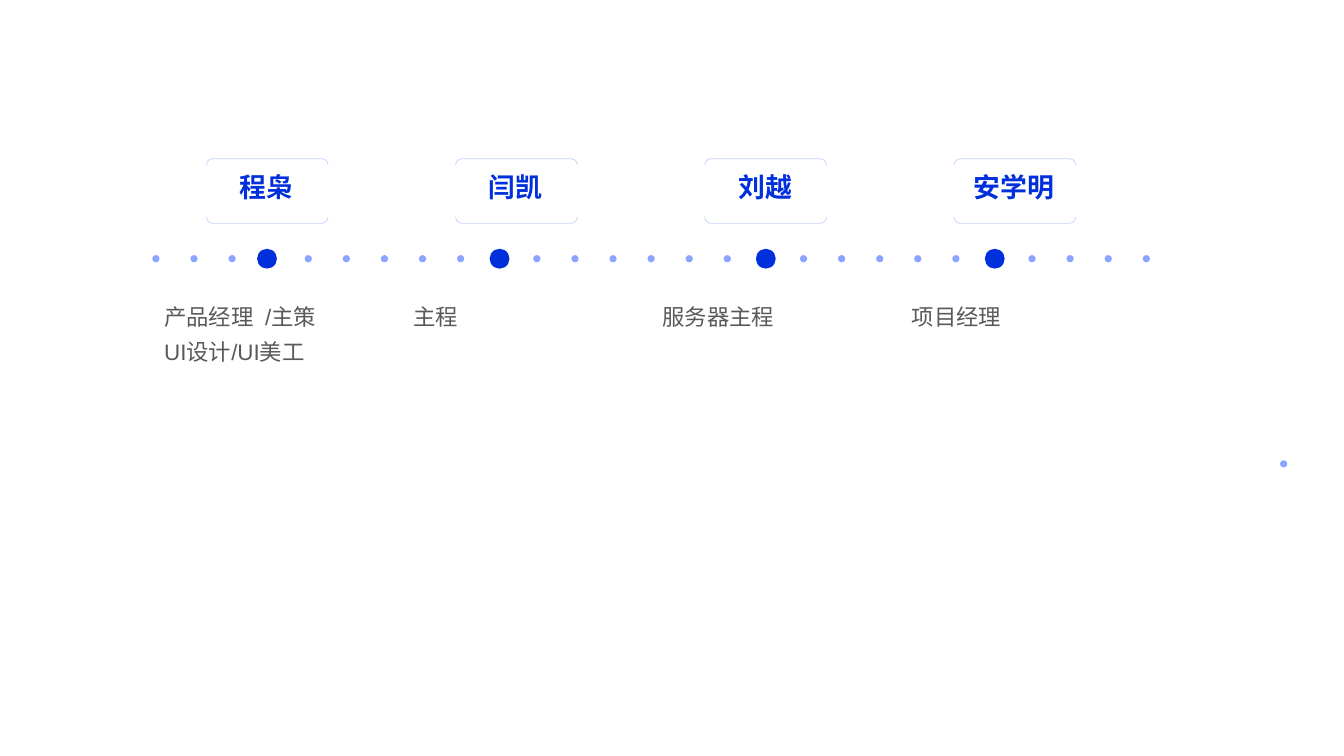
"""Build a team slide with a dotted timeline of members and their roles."""
import pptx
import pptx.util
import pptx.dml.color
import pptx.enum.shapes
import pptx.enum.text

Cm = pptx.util.Cm
Pt = pptx.util.Pt
RGBColor = pptx.dml.color.RGBColor
Shape = pptx.enum.shapes.MSO_SHAPE
Align = pptx.enum.text.PP_ALIGN

BLUE = RGBColor(0x00, 0x2F, 0xDC)
LIGHT = RGBColor(0x8B, 0xA4, 0xFF)
PALE = RGBColor(0xC5, 0xD1, 0xFF)
GREY = RGBColor(0x59, 0x59, 0x59)

TEAM = [
    ("程枭", ["产品经理\t/主策", "UI设计/UI美工"], 6.48),
    ("闫凯", ["主程"], 12.34),
    ("刘越", ["服务器主程"], 19.05),
    ("安学明", ["项目经理"], 24.82),
]
GAPS = (3, 9, 16, 22)
SLOTS = 27
STEP = 0.96
PITCH = 6.28


def write(frame, lines, size, color, bold=False, align=Align.LEFT, space=1.0):
    frame.word_wrap = True
    for i, line in enumerate(lines):
        para = frame.paragraphs[0] if i == 0 else frame.add_paragraph()
        para.alignment = align
        para.line_spacing = space
        run = para.add_run()
        run.text = line
        font = run.font
        font.name = "Arial"
        font.size = Pt(size)
        font.bold = bold
        font.color.rgb = color


class Board:
    def __init__(self, slide):
        self.slide = slide

    def shape(self, kind, x, y, w, h, round_by):
        item = self.slide.shapes.add_shape(kind, Cm(x), Cm(y), Cm(w), Cm(h))
        item.shadow.inherit = False
        item.adjustments[0] = round_by
        return item

    def dot(self, x, y, size, color):
        item = self.shape(Shape.ROUNDED_RECTANGLE, x, y, size, size, 0.5)
        item.fill.solid()
        item.fill.fore_color.rgb = color
        item.line.fill.background()

    def frame(self, x, y, w, h):
        item = self.shape(Shape.DOUBLE_BRACKET, x, y, w, h, 0.1)
        item.rotation = 90
        item.fill.background()
        item.line.color.rgb = PALE
        item.line.width = Pt(0.5)

    def text(self, x, y, w, h, lines, **style):
        box = self.slide.shapes.add_textbox(Cm(x), Cm(y), Cm(w), Cm(h))
        write(box.text_frame, lines, **style)


def main():
    deck = pptx.Presentation()
    deck.slide_width = Cm(33.87)
    deck.slide_height = Cm(19.05)
    board = Board(deck.slides.add_slide(deck.slide_layouts[6]))

    for slot in range(SLOTS):
        if slot not in GAPS:
            board.dot(3.84 + slot * STEP, 6.43, 0.18, LIGHT)
    board.dot(32.26, 11.6, 0.18, LIGHT)

    for i, (name, roles, mark) in enumerate(TEAM):
        shift = i * PITCH
        board.dot(mark, 6.27, 0.5, BLUE)
        board.frame(5.92 + shift, 3.28, 1.63, 3.07)
        board.text(5.08 + shift, 4.17, 3.28, 1.27, [name],
                   size=19.2, color=BLUE, bold=True, align=Align.CENTER)
        board.text(3.89 + shift, 7.32, 5.69, 2.82, roles,
                   size=16, color=GREY, space=1.3)

    deck.save("out.pptx")


if __name__ == "__main__":
    main()
